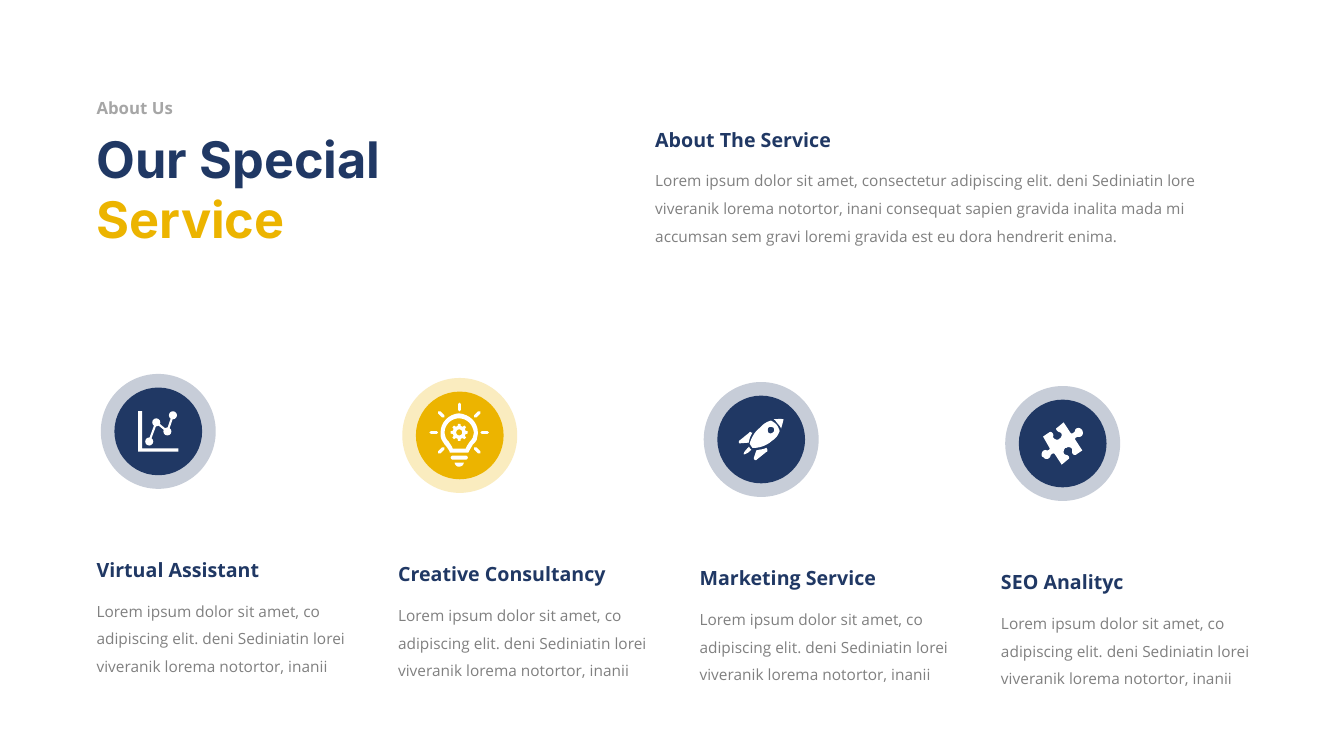
from math import cos, radians, sin

from lxml import etree
from pptx import Presentation
from pptx import util as u
from pptx.dml.color import RGBColor
from pptx.enum import shapes, text
from pptx.oxml.ns import qn

NAVY = RGBColor(0x20, 0x38, 0x64)
GOLD = RGBColor(0xEC, 0xB4, 0x00)
WHITE = RGBColor(0xFF, 0xFF, 0xFF)
SILVER = RGBColor(0xA6, 0xA6, 0xA6)
GRAY = RGBColor(0x80, 0x80, 0x80)
BODY_FONT, TITLE_FONT = "Open Sans", "Inter"

# Content
TITLE = [("Our Special ", NAVY), ("Service", GOLD)]
KICKER = "About Us"
INTRO = ("About The Service",
         "Lorem ipsum dolor sit amet, consectetur adipiscing elit. deni Sediniatin lore "
         "viveranik lorema notortor, inani consequat sapien gravida inalita mada mi "
         "accumsan sem gravi loremi gravida est eu dora hendrerit enima.")
SERVICE_TEXT = ("Lorem ipsum dolor sit amet, co adipiscing elit. deni Sediniatin lorei "
                "viveranik lorema notortor, inanii")
SERVICES = [("Virtual Assistant", NAVY), ("Creative Consultancy", GOLD),
            ("Marketing Service", NAVY), ("SEO Analityc", NAVY)]

# Grid in inches: each service column sits a little lower than the one before
LEFT, PITCH, DROP = 0.86, 2.99, 0.04
RING_INSET, RING_TOP, RING, DISC = 0.14, 3.71, 1.14, 0.87
HEADING_TOP, HEADING_HEIGHT = 5.49, 0.34

# Icon outlines in hundredths of an inch from the ring's corner:
# a pair is a straight step, six numbers are a Bézier step
AXES = [(41, 37), (37, 37), (37, 77), (77, 77), (77, 74), (41, 74)]
TREND = [(48, 67), (55, 48), (66, 57), (71.5, 41)]
BULB_CENTRE = (56.5, 54)
BULB_OUTER = [(75, 54), (75, 44, 67, 36, 56, 35), (46, 36, 38, 44, 38, 54),
              (38, 57, 38, 59, 39, 61), (40, 63, 41, 64, 42, 66),
              (44, 68, 46, 71, 47, 73), (47, 74, 47, 74, 48, 74), (65, 74),
              (65, 74, 66, 74, 66, 73), (67, 71, 69, 68, 70, 66),
              (72, 64, 73, 63, 74, 61), (74, 59, 75, 57, 75, 54)]
BULB_INNER = [(71, 54), (71, 56, 70, 58, 70, 59), (69, 61, 68, 62, 67, 63),
              (66, 65, 64, 67, 63, 70), (50, 70), (49, 67, 47, 65, 46, 63),
              (45, 62, 44, 61, 43, 59), (43, 58, 42, 56, 42, 54),
              (42, 46, 49, 40, 56, 40), (64, 40, 70, 46, 71, 54)]
BULB_CAP = [(56, 88), (59, 88, 61, 86, 61, 84), (52, 84), (52, 86, 54, 88, 56, 88)]
ROCKET_PARTS = [
    [[(79, 37), (78, 36, 73, 37, 69, 37), (71, 38, 72, 40, 73, 41),
      (75, 43, 76, 44, 77, 46), (78, 42, 79, 37, 79, 37)]],
    [[(48, 50), (47, 50), (46, 49, 45, 49, 45, 50), (36, 58),
      (34, 59, 35, 62, 37, 61), (45, 60), (45, 57, 46, 54, 48, 50)]],
    [[(62, 65), (58, 67, 55, 67, 52, 68), (50, 75), (49, 77, 52, 79, 53, 77),
      (62, 69), (63, 69, 63, 68, 63, 67)]],
    [[(66, 38), (63, 39, 59, 41, 56, 45), (49, 51, 47, 58, 46, 62), (49, 66),
      (54, 66, 62, 64, 68, 58), (72, 55, 74, 52, 75, 48),
      (75, 47, 74, 45, 72, 42), (70, 40, 68, 39, 66, 38)],
     [(68, 50), (67, 51, 65, 51, 64, 50), (63, 48, 63, 46, 64, 45),
      (65, 44, 67, 44, 69, 45), (70, 47, 70, 49, 68, 50)]],
    [[(46, 66), (45, 65, 45, 63, 44, 65), (42, 67, 39, 71, 40, 72),
      (41, 72, 45, 70, 46, 68), (48, 67, 47, 67, 46, 66)]],
]
PUZZLE = [(62, 68), (58, 68, 58, 64, 60, 61), (61, 61), (63, 59, 68, 60, 67, 64),
          (67, 66, 69, 68, 71, 67), (77, 62), (69, 52), (68, 51, 70, 49, 72, 49),
          (76, 49, 77, 45, 75, 42), (73, 39, 68, 40, 68, 43),
          (68, 45, 65, 47, 64, 46), (56, 36), (50, 42), (48, 43, 50, 45, 52, 46),
          (56, 46, 56, 50, 54, 52), (53, 53), (51, 55, 46, 53, 47, 50),
          (47, 48, 45, 46, 43, 47), (37, 52), (44, 62), (46, 64, 43, 66, 41, 65),
          (38, 65, 36, 69, 38, 72), (39, 72), (41, 75, 45, 74, 46, 71),
          (46, 69, 48, 67, 50, 68), (58, 78), (64, 72), (66, 71, 64, 68, 62, 68)]

presentation = Presentation()
presentation.slide_width, presentation.slide_height = u.Inches(13.33), u.Inches(7.5)
slide = presentation.slides.add_slide(presentation.slide_layouts[5])


def place(shape, left, top, width, height):
    shape.left, shape.top = u.Inches(left), u.Inches(top)
    shape.width, shape.height = u.Inches(width), u.Inches(height)


def paint(shape, color):
    shape.fill.solid()
    shape.fill.fore_color.rgb = color
    shape.line.fill.background()
    shape.shadow.inherit = False


def add_text(words, box, size, color, bold=False, spacing=1.0, wrap=True):
    shape = slide.shapes.add_textbox(*map(u.Inches, box))
    frame = shape.text_frame
    frame.word_wrap = wrap
    frame.auto_size = text.MSO_AUTO_SIZE.SHAPE_TO_FIT_TEXT
    paragraph = frame.paragraphs[0]
    paragraph.text = words
    paragraph.line_spacing = spacing
    font = paragraph.font
    font.name, font.size, font.bold = BODY_FONT, u.Pt(size), bold
    font.color.rgb = color


def add_entry(heading, body, left, top, width):
    add_text(heading, (left, top, 2.3, HEADING_HEIGHT), 14, NAVY, bold=True)
    add_text(body, (left, top + HEADING_HEIGHT, width, 0.9), 11, GRAY, spacing=1.5)


def add_preset(kind, left, top, width, height, color):
    shape = slide.shapes.add_shape(kind, *map(u.Inches, (left, top, width, height)))
    paint(shape, color)
    return shape


def flatten(outline, steps=8):
    points = [outline[0]]
    for step in outline[1:]:
        if len(step) == 2:
            points.append(step)
            continue
        curve = (points[-1], step[:2], step[2:4], step[4:])
        for i in range(1, steps + 1):
            t = i / steps
            weights = ((1 - t) ** 3, 3 * t * (1 - t) ** 2, 3 * t * t * (1 - t), t ** 3)
            points.append(tuple(sum(w * p[axis] for w, p in zip(weights, curve))
                                for axis in (0, 1)))
    return points


def polar(radius, degrees):
    x, y = BULB_CENTRE
    return x + radius * cos(radians(degrees)), y + radius * sin(radians(degrees))


def to_slide(origin, point):
    return tuple(u.Inches(start + offset / 100) for start, offset in zip(origin, point))


def add_outline(origin, outlines, rotation=0):
    builder = None
    for outline in outlines:
        first, *rest = [to_slide(origin, point) for point in flatten(outline)]
        if builder is None:
            builder = slide.shapes.build_freeform(*first, scale=1.0)
        else:
            builder.move_to(*first)
        builder.add_line_segments(rest, close=True)
    shape = builder.convert_to_shape()
    paint(shape, WHITE)
    shape.rotation = rotation


def add_stroke(origin, start, end, width):
    line = slide.shapes.add_connector(shapes.MSO_CONNECTOR.STRAIGHT,
                                      *to_slide(origin, start), *to_slide(origin, end))
    line.line.color.rgb = WHITE
    line.line.width = u.Pt(width)
    line.line._get_or_add_ln().set("cap", "rnd")
    etree.SubElement(line._element.spPr, qn("a:effectLst"))


def draw_chart(origin):
    add_outline(origin, [AXES])
    for start, end in zip(TREND, TREND[1:]):
        add_stroke(origin, start, end, 1.5)
    for x, y in TREND:
        add_preset(shapes.MSO_SHAPE.OVAL, origin[0] + (x - 4) / 100,
                   origin[1] + (y - 4) / 100, 0.08, 0.08, WHITE)


def draw_bulb(origin):
    gear = [polar(radius, 45 * tooth + angle) for tooth in range(8)
            for radius, angle in ((6.5, -14), (8.5, -8), (8.5, 8), (6.5, 14))]
    hole = [polar(3, angle) for angle in range(0, 360, 15)]
    for outlines in ([gear, hole], [BULB_OUTER, BULB_INNER], [BULB_CAP]):
        add_outline(origin, outlines)
    base = add_preset(shapes.MSO_SHAPE.ROUNDED_RECTANGLE, origin[0] + 0.48,
                      origin[1] + 0.77, 0.17, 0.04, WHITE)
    base.adjustments[0] = 0.5
    for angle in range(135, 406, 45):
        add_stroke(origin, polar(22.5, angle), polar(28, angle), 2.2)


def draw_rocket(origin):
    for outlines in ROCKET_PARTS:
        add_outline(origin, outlines, rotation=2.8)


def draw_puzzle(origin):
    add_outline(origin, [PUZZLE], rotation=5.4)


# Title and introduction
title = slide.shapes.title
place(title, LEFT, 1.22, 4.57, 1.31)
title.text_frame.word_wrap = True
title.text_frame.auto_size = text.MSO_AUTO_SIZE.NONE
title.text_frame.vertical_anchor = text.MSO_ANCHOR.TOP
title_line = title.text_frame.paragraphs[0]
title_line.alignment = text.PP_ALIGN.LEFT
title_line.font.name, title_line.font.size, title_line.font.bold = TITLE_FONT, u.Pt(36), True
for words, color in TITLE:
    run = title_line.add_run()
    run.text = words
    run.font.color.rgb = color
add_text(KICKER, (LEFT, 0.92, 0.97, 0.3), 12, SILVER, bold=True, wrap=False)
add_entry(*INTRO, 6.4, 1.22, 5.72)

# Service columns
icons = (draw_chart, draw_bulb, draw_rocket, draw_puzzle)
for column, ((heading, color), draw_icon) in enumerate(zip(SERVICES, icons)):
    left, drop = LEFT + column * PITCH, column * DROP
    origin = (left + RING_INSET, RING_TOP + drop)
    ring = add_preset(shapes.MSO_SHAPE.ROUNDED_RECTANGLE, *origin, RING, RING, color)
    ring.adjustments[0] = 0.5
    ring_color = ring._element.spPr.find(".//" + qn("a:srgbClr"))
    etree.SubElement(ring_color, qn("a:alpha"), val="25000")
    margin = (RING - DISC) / 2
    add_preset(shapes.MSO_SHAPE.OVAL, origin[0] + margin, origin[1] + margin, DISC, DISC, color)
    draw_icon(origin)
    add_entry(heading, SERVICE_TEXT, left, HEADING_TOP + drop, 2.74)

presentation.save("out.pptx")
